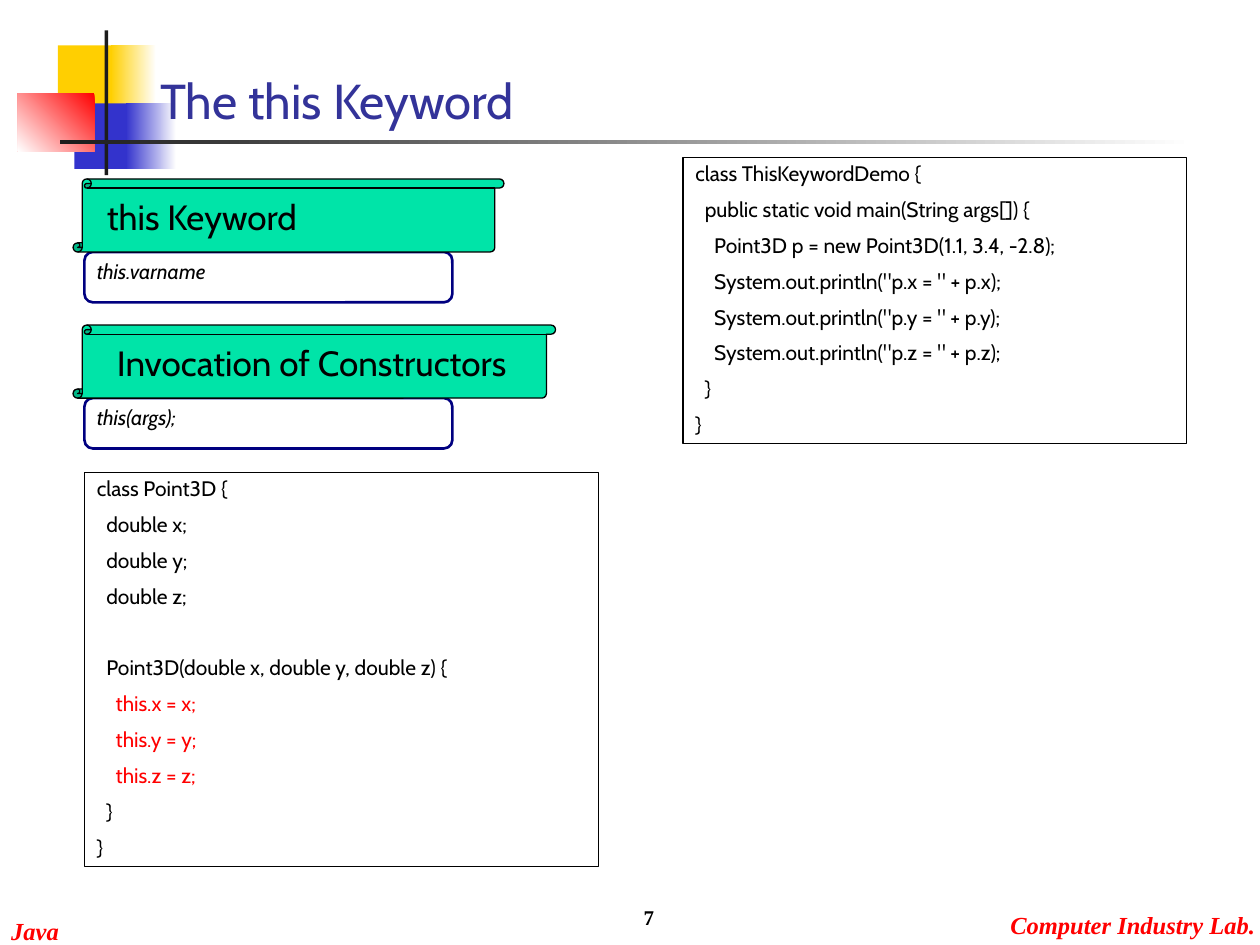
"""Build the slide about the this keyword in Java."""
from dataclasses import dataclass

from pptx import Presentation
from pptx.dml.color import RGBColor
from pptx.enum.shapes import MSO_SHAPE
from pptx.enum.text import MSO_ANCHOR, MSO_AUTO_SIZE, PP_ALIGN
from pptx.util import Inches, Pt


@dataclass(frozen=True)
class Theme:
    """Hold the colours, fonts and type sizes."""
    white: str = "FFFFFF"
    black: str = "000000"
    dark: str = "1C1C1C"
    gold: str = "FFCF01"
    blue: str = "3333CC"
    red: str = "FF0000"
    ink: str = "333399"
    navy: str = "000080"
    green: str = "00E4A8"
    sans: str = "Cabin"
    serif: str = "Times New Roman"
    title: int = 28
    head: int = 20
    foot: int = 14
    body: int = 12
    hair: float = 0.74
    bold: float = 1.5


def write(frame, lines, size, color, font=Theme.sans, bold=False, italic=False,
          align=PP_ALIGN.LEFT, anchor=MSO_ANCHOR.TOP, wrap=True, before=0, space=1.0):
    """Fill a frame with lines of (text, indent level, own format)."""
    frame.auto_size = MSO_AUTO_SIZE.NONE
    frame.word_wrap, frame.vertical_anchor = wrap, anchor
    for i, (text, level, own) in enumerate(lines):
        para = frame.paragraphs[0] if i == 0 else frame.add_paragraph()
        para.alignment, para.line_spacing = align, space
        para.space_before = Pt(own.get("before", before))
        if level:
            props = para._p.get_or_add_pPr()
            props.set("marL", str(Inches(0.15 * level / 2)))
            props.set("indent", "0")
        run = para.add_run()
        run.text = text
        run.font.size, run.font.name = Pt(size), font
        run.font.bold, run.font.italic = bold, italic
        run.font.color.rgb = RGBColor.from_string(own.get("color", color))


class Deck:
    """Hold the style and the current slide."""

    def __init__(self, theme):
        """Start a deck with one title-only slide."""
        self.theme = theme
        self.file = Presentation()
        self.file.slide_width, self.file.slide_height = Inches(10), Inches(7.5)
        self.slide = self.file.slides.add_slide(self.file.slide_layouts[5])

    def shape(self, box, kind=MSO_SHAPE.RECTANGLE, fill=None, fade=None, turn=180,
              line=None, width=Theme.hair):
        """Add a shape with a plain fill, a fade or none."""
        item = self.slide.shapes.add_shape(kind, *map(Inches, box))
        item.shadow.inherit = False
        if fade:
            item.fill.gradient()
            item.fill.gradient_angle = turn
            for stop, color in zip(item.fill.gradient_stops, fade):
                stop.color.rgb = RGBColor.from_string(color)
        elif fill:
            item.fill.solid()
            item.fill.fore_color.rgb = RGBColor.from_string(fill)
        else:
            item.fill.background()
        if line:
            item.line.color.rgb = RGBColor.from_string(line)
            item.line.width = Pt(width)
        else:
            item.line.fill.background()
        return item

    def label(self, box, text, size, color=Theme.black, **style):
        """Add a text box of one line."""
        item = self.slide.shapes.add_textbox(*map(Inches, box))
        write(item.text_frame, [(text, 0, {})], size, color, **style)

    def title(self, box, text):
        """Place the title in front of what is drawn so far."""
        item = self.slide.shapes.title
        item.left, item.top, item.width, item.height = map(Inches, box)
        write(item.text_frame, [(text, 0, {})], self.theme.title, self.theme.ink,
              anchor=MSO_ANCHOR.BOTTOM)
        self.slide.shapes.element.append(item.element)

    def code(self, box, lines):
        """Add a framed code listing."""
        item = self.shape(box, line=self.theme.black)
        write(item.text_frame, lines, self.theme.body, self.theme.black,
              before=7.5, space=0.9)

    def topic(self, top, width, left, head, form):
        """Add a scroll heading with its syntax box below."""
        look = self.theme
        base = top + 0.58
        self.shape((0.67, base, 2.92, 0.4), MSO_SHAPE.ROUNDED_RECTANGLE,
                   line=look.navy, width=look.bold)
        self.label((0.67, base, 3.34, 0.3), form, look.body, italic=True)
        self.shape((0.58, top, width, 0.58), MSO_SHAPE.VERTICAL_SCROLL,
                   fill=look.green, line=look.black)
        self.label((left, top + 0.08, width - 0.25, 0.44), head, look.head)


def main():
    """Draw the slide and save it."""
    look = Theme()
    deck = Deck(look)

    deck.shape((0.46, 0.36, 0.48, 0.52), fill=look.gold)
    deck.shape((0.88, 0.36, 0.36, 0.52), fade=(look.white, look.gold))
    deck.shape((0.59, 0.82, 0.46, 0.52), fill=look.blue)
    deck.shape((1, 0.82, 0.4, 0.52), fade=(look.white, look.blue))
    deck.shape((0.14, 0.74, 0.61, 0.46), fade=(look.red, look.white), turn=225)
    deck.shape((0.83, 0.24, 0.03, 1.15), fill=look.dark)
    deck.shape((0.48, 1.11, 9, 0.03), fade=(look.white, look.dark))

    for box, text in (((-0.01, 7.22, 0.58, 0.34), "Java"),
                      ((7.92, 7.17, 2.14, 0.34), "Computer Industry Lab.")):
        deck.label(box, text, look.foot, look.red, font=look.serif,
                   bold=True, italic=True, wrap=False)

    deck.title((1.17, 0.5, 4.75, 0.58), "The this Keyword")

    fields = [(f"double {axis};", 1, {}) for axis in "xyz"]
    sets = [(f"this.{axis} = {axis};", 2, {"color": look.red}) for axis in "xyz"]
    prints = [(f'System.out.println("p.{axis} = " + p.{axis});', 2, {}) for axis in "xyz"]
    ends = [("}", 1, {}), ("}", 0, {})]
    deck.code((0.67, 3.75, 4.08, 3.13), [
        ("class Point3D {", 0, {}), *fields,
        ("Point3D(double x, double y, double z) {", 1, {"before": 28}),
        *sets, *ends])
    deck.code((5.42, 1.25, 4, 2.27), [
        ("class ThisKeywordDemo {", 0, {}),
        ("public static void main(String args[]) {", 1, {}),
        ("Point3D p = new Point3D(1.1, 3.4, -2.8);", 2, {}),
        *prints, *ends])

    deck.topic(1.42, 3.42, 0.75, "this Keyword", "this.varname")
    deck.topic(2.58, 3.83, 0.83, "Invocation of Constructors", "this(args);")
    deck.label((3.21, 6.93, 2.08, 0.5), "7", look.body, font=look.serif, bold=True,
               align=PP_ALIGN.RIGHT, anchor=MSO_ANCHOR.BOTTOM)
    deck.file.save("out.pptx")


main()
